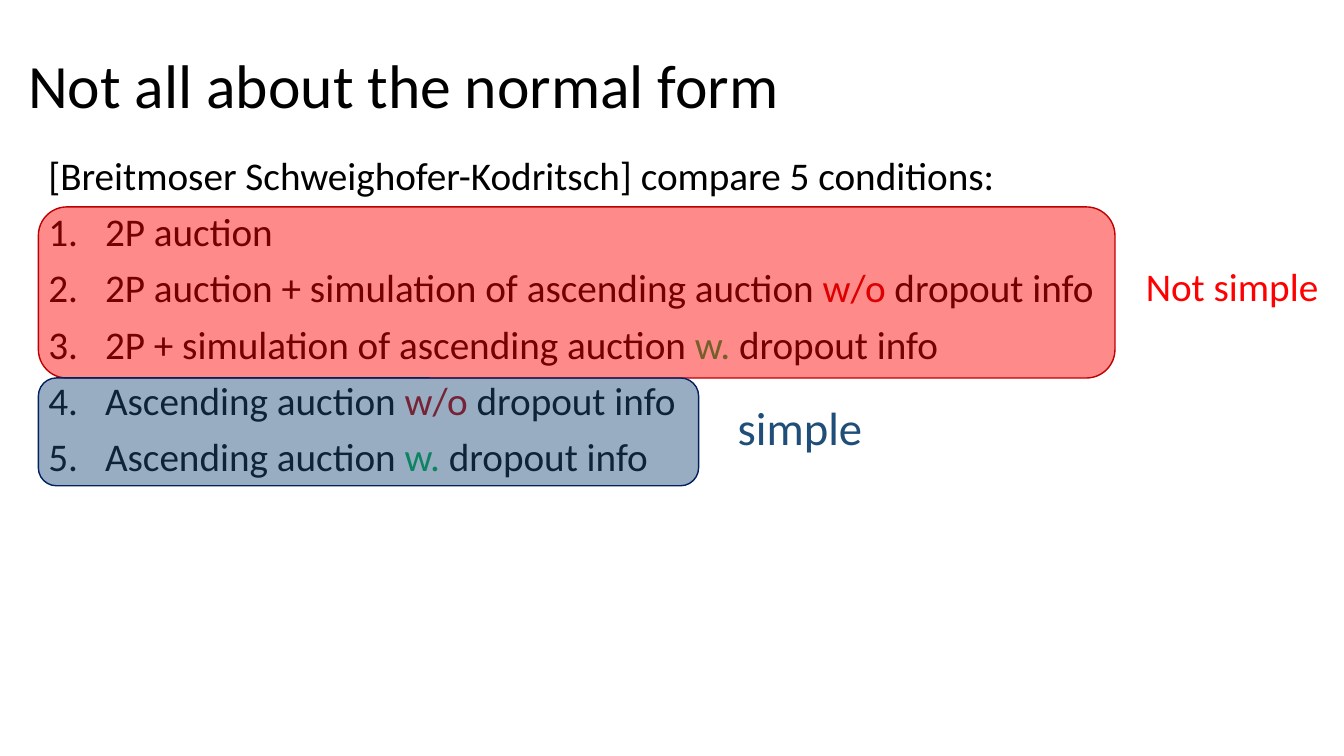
from lxml import etree
from pptx import Presentation
from pptx.dml.color import RGBColor
from pptx.enum.shapes import MSO_SHAPE
from pptx.enum.text import MSO_ANCHOR
from pptx.oxml.ns import qn
from pptx.util import Pt

ROUNDED = MSO_SHAPE.ROUNDED_RECTANGLE
TOP, MIDDLE = MSO_ANCHOR.TOP, MSO_ANCHOR.MIDDLE
FONT = "Calibri"
BODY_SIZE = 28
NUMBER_INDENT = 40.5
COLOURS = {
    "text": "000000",
    "without": "C00000",
    "with": "00B050",
    "not_simple": "FF0000",
    "not_simple_line": "C00000",
    "simple": "1F4E79",
    "simple_line": "002060",
}
CONDITIONS = [
    [("2P auction", "text")],
    [("2P auction + simulation of ascending auction ", "text"),
     ("w/o", "without"), (" dropout info", "text")],
    [("2P + simulation of ascending auction ", "text"),
     ("w.", "with"), (" dropout info", "text")],
    [("Ascending auction ", "text"), ("w/o", "without"), (" dropout info", "text")],
    [("Ascending auction ", "text"), ("w.", "with"), (" dropout info", "text")],
]


def colour(name):
    return RGBColor.from_string(COLOURS[name])


def number_paragraph(para):
    properties = para._p.get_or_add_pPr()
    properties.set("marL", str(Pt(NUMBER_INDENT)))
    properties.set("indent", str(-Pt(NUMBER_INDENT)))
    numbering = etree.SubElement(properties, qn("a:buAutoNum"))
    numbering.set("type", "arabicPeriod")


def fill_paragraph(para, spans, size, line_spacing=0.9, space_before=10):
    """Write (text, colour name) pairs as runs of one paragraph."""
    para.line_spacing = line_spacing
    para.space_before = Pt(space_before)
    for text, colour_name in spans:
        span = para.add_run()
        span.text = text
        span.font.name = FONT
        span.font.size = Pt(size)
        span.font.color.rgb = colour(colour_name)


def add_text_frame(page, left, top, width, height, anchor=TOP):
    box = page.shapes.add_textbox(Pt(left), Pt(top), Pt(width), Pt(height))
    frame = box.text_frame
    frame.word_wrap = True
    frame.vertical_anchor = anchor
    return frame


def add_conditions(page):
    frame = add_text_frame(page, 27.4, 108, 908.6, 406)
    intro = "[Breitmoser Schweighofer-Kodritsch] compare 5 conditions:"
    fill_paragraph(frame.paragraphs[0], [(intro, "text")], BODY_SIZE)
    for spans in CONDITIONS:
        para = frame.add_paragraph()
        fill_paragraph(para, spans, BODY_SIZE)
        number_paragraph(para)


def add_highlight(page, top, width, height, name):
    """Lay a translucent rounded panel over a group of conditions."""
    panel = page.shapes.add_shape(ROUNDED, Pt(27.4), Pt(top), Pt(width), Pt(height))
    panel.shadow.inherit = False
    panel.fill.solid()
    panel.fill.fore_color.rgb = colour(name)
    panel.line.color.rgb = colour(name + "_line")
    panel.line.width = Pt(1)
    fill_colour = panel._element.spPr.find(qn("a:solidFill"))[0]
    etree.SubElement(fill_colour, qn("a:alpha")).set("val", "46000")


def main():
    deck = Presentation()
    deck.slide_width, deck.slide_height = Pt(960), Pt(540)
    page = deck.slides.add_slide(deck.slide_layouts[6])

    title = add_text_frame(page, 13, 10.8, 828, 104.4, MIDDLE)
    fill_paragraph(title.paragraphs[0], [("Not all about the normal form", "text")],
                   44, space_before=0)
    add_conditions(page)
    add_highlight(page, 147.8, 769, 122.2, "not_simple")
    add_highlight(page, 270, 471.6, 77, "simple")

    simple = add_text_frame(page, 519.8, 289.4, 104.4, 42.5)
    fill_paragraph(simple.paragraphs[0], [("simple", "simple")], 33.3, line_spacing=0.8)
    not_simple = add_text_frame(page, 811.4, 187.9, 139, 53.3)
    fill_paragraph(not_simple.paragraphs[0], [("Not simple", "not_simple")], BODY_SIZE)

    deck.save("out.pptx")


if __name__ == "__main__":
    main()
